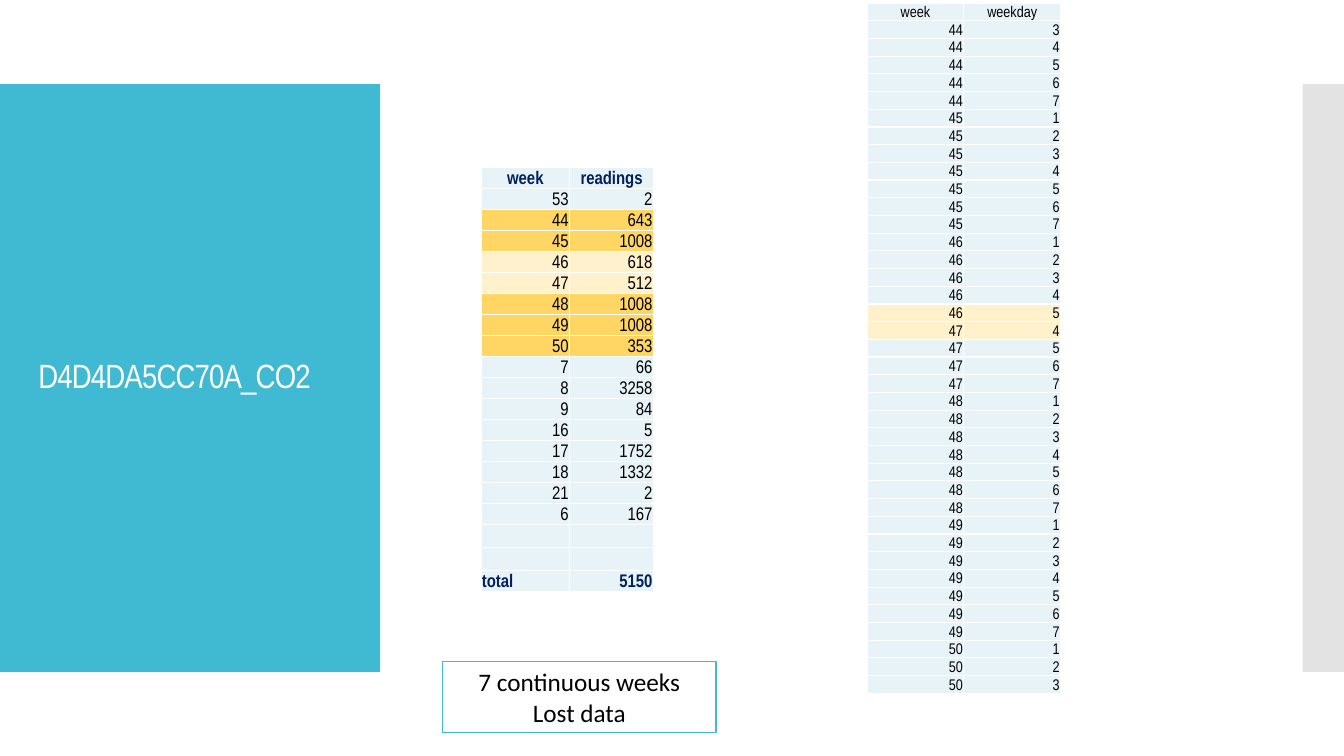
from pptx import Presentation
from pptx.dml.color import RGBColor
from pptx.enum.shapes import MSO_SHAPE
from pptx.enum.text import MSO_ANCHOR, MSO_AUTO_SIZE, PP_ALIGN
from pptx.oxml.xmlchemy import OxmlElement
from pptx.util import Inches, Pt

# Content
TITLE = "D4D4DA5CC70A_CO2"
NOTE = ["7 continuous weeks", "Lost data"]
READINGS = [
    ("week", "readings"), (53, 2), (44, 643), (45, 1008), (46, 618), (47, 512),
    (48, 1008), (49, 1008), (50, 353), (7, 66), (8, 3258), (9, 84), (16, 5),
    (17, 1752), (18, 1332), (21, 2), (6, 167), ("", ""), ("", ""), ("total", 5150),
]
# Week, first and last weekday with data
WEEK_SPANS = [(44, 3, 7), (45, 1, 7), (46, 1, 5), (47, 4, 7), (48, 1, 7), (49, 1, 7), (50, 1, 3)]
WEEKDAYS = [("week", "weekday")] + [
    (week, day) for week, first, last in WEEK_SPANS for day in range(first, last + 1)]

# Style
TEAL, NAVY, BLACK, WHITE, GREY = "40BAD2", "002060", "000000", "FFFFFF", "C8C8C8"
PALE, GOLD, CREAM = "E8F3F7", "FFD663", "FFF1CB"
READING_FILLS = {44: GOLD, 45: GOLD, 46: CREAM, 47: CREAM, 48: GOLD, 49: GOLD, 50: GOLD}
WEEKDAY_FILLS = {(46, 5): CREAM, (47, 4): CREAM}
WIDTH, HEIGHT = 13.33, 7.5
BAND_TOP, BAND_HEIGHT = HEIGHT / 9, HEIGHT * 7 / 9


def color(value):
    return RGBColor.from_string(value)


def paint(fill, value):
    fill.solid()
    fill.fore_color.rgb = color(value)


def add_span(para, text, size, font, value, bold=False):
    span = para.add_run()
    span.text = str(text)
    span.font.size, span.font.name, span.font.bold = Pt(size), font, bold
    span.font.color.rgb = color(value)
    return span


def add_box(page, left, top, width, height):
    box = page.shapes.add_shape(
        MSO_SHAPE.RECTANGLE, Inches(left), Inches(top), Inches(width), Inches(height))
    box.shadow.inherit = False
    return box


def add_band(page, left, width, value):
    band = add_box(page, left, BAND_TOP, width, BAND_HEIGHT)
    paint(band.fill, value)
    band.line.fill.background()
    return band


def add_child(parent, tag, **attributes):
    child = OxmlElement(tag)
    for name, value in attributes.items():
        child.set(name, value)
    parent.append(child)
    return child


def format_cell(cell, text, size, fill, value, align, bold):
    cell.margin_left = cell.margin_right = cell.margin_top = Inches(0.01)
    cell.margin_bottom = 0
    cell.vertical_anchor = MSO_ANCHOR.BOTTOM
    para = cell.text_frame.paragraphs[0]
    para.alignment = align
    if text == "":
        add_child(para._p, "a:endParaRPr", sz=str(size * 100))
    else:
        add_span(para, text, size, "Arial Narrow", value, bold)
    # Borders come before the fill in the cell's properties
    properties = cell._tc.get_or_add_tcPr()
    for side in ("a:lnL", "a:lnR", "a:lnT", "a:lnB"):
        line = add_child(properties, side, w=str(Pt(1)))
        add_child(add_child(line, "a:solidFill"), "a:srgbClr", val=WHITE)
    paint(cell.fill, fill)


def add_grid(page, rows, left, top, widths, height, size, fill_of, accent):
    """Draw a table with equal rows; the header and total take the accent style."""
    frame = page.shapes.add_table(
        len(rows), len(widths), Inches(left), Inches(top), Inches(sum(widths)), Inches(height))
    table = frame.table
    table.first_row = table.horz_banding = False
    for column, width in zip(table.columns, widths):
        column.width = Inches(width)
    for r, values in enumerate(rows):
        table.rows[r].height = Inches(height / len(rows))
        strong = accent and (r == 0 or values[0] == "total")
        for c, text in enumerate(values):
            align = PP_ALIGN.CENTER if r == 0 else PP_ALIGN.RIGHT
            if text == "total":
                align = PP_ALIGN.LEFT
            format_cell(table.cell(r, c), text, size, fill_of(values),
                        NAVY if strong else BLACK, align, strong)


def main():
    deck = Presentation()
    deck.slide_width, deck.slide_height = Inches(WIDTH), Inches(HEIGHT)
    page = deck.slides.add_slide(deck.slide_layouts[5])

    # Side bands
    add_band(page, 0, 3.77, TEAL)
    grey_band = add_band(page, 12.92, WIDTH - 12.92, GREY)
    grey = grey_band.fill._xPr.find(".//{*}srgbClr")
    add_child(grey, "a:alpha", val="50000")

    # Title, raised above the teal band
    title = page.shapes.title
    title.left, title.top, title.width, title.height = map(Inches, (0.28, 1.23, 3.22, 5.03))
    title.element.getparent().append(title.element)
    frame = title.text_frame
    frame.word_wrap, frame.auto_size = True, MSO_AUTO_SIZE.NONE
    frame.vertical_anchor = MSO_ANCHOR.MIDDLE
    para = frame.paragraphs[0]
    para.alignment, para.line_spacing = PP_ALIGN.LEFT, 0.9
    span = add_span(para, TITLE, 24, "Arial Narrow", WHITE)
    span.font._element.set("spc", "-60")

    # Tables
    add_grid(page, READINGS, 4.77, 1.66, (0.88, 0.83), 4.17, 13,
             lambda values: READING_FILLS.get(values[0], PALE), True)
    add_grid(page, WEEKDAYS, 8.6, 0.03, (0.96, 0.96), 6.85, 11,
             lambda values: WEEKDAY_FILLS.get(values, PALE), False)

    # Note
    note = add_box(page, 4.39, 6.56, 2.71, 0.71)
    note.fill.background()
    note.line.color.rgb, note.line.width = color(TEAL), Pt(1)
    frame = note.text_frame
    frame.word_wrap = True
    for i, text in enumerate(NOTE):
        para = frame.add_paragraph() if i else frame.paragraphs[0]
        para.alignment = PP_ALIGN.CENTER
        add_span(para, text, 18, "Calibri", BLACK)

    deck.save("out.pptx")


if __name__ == "__main__":
    main()
